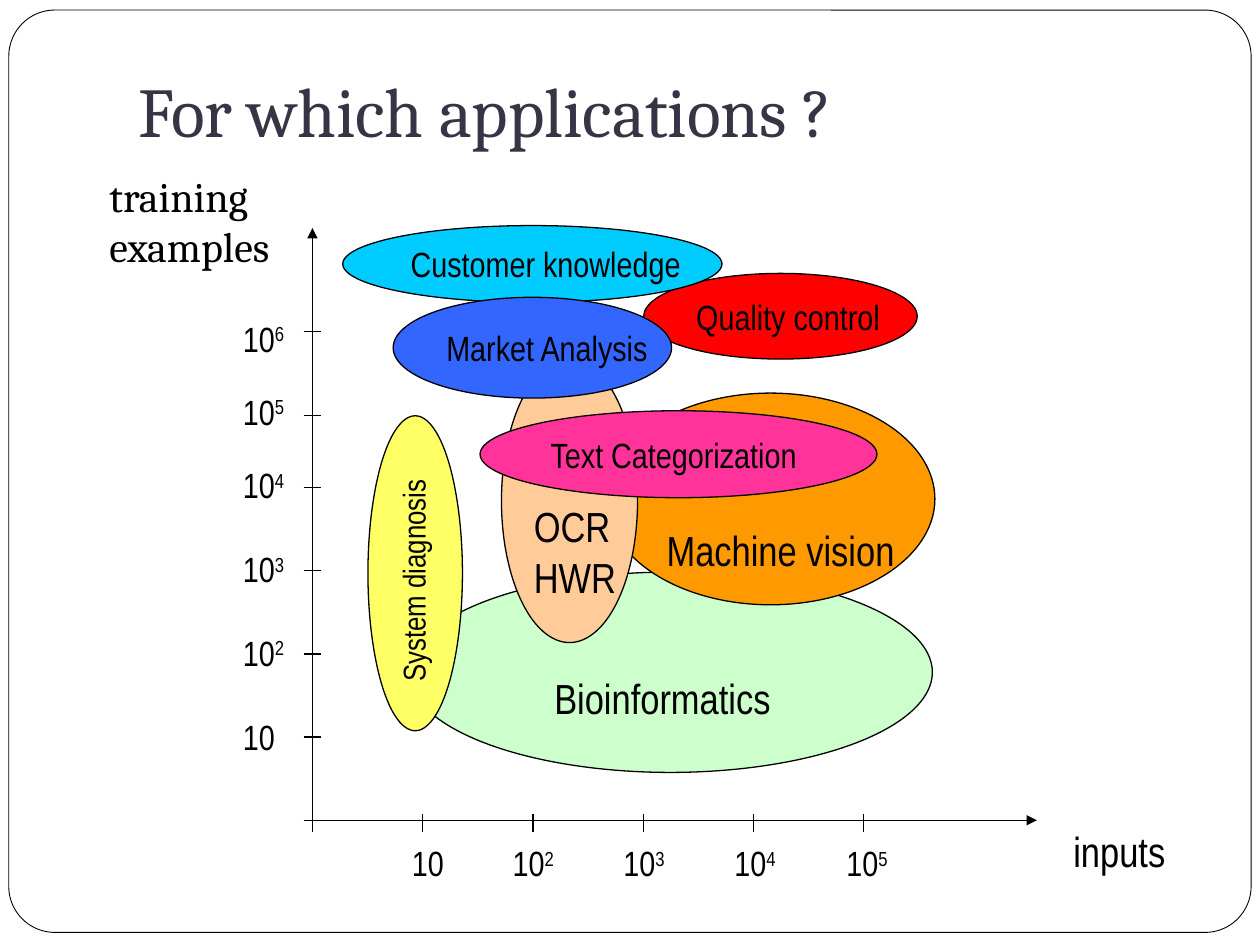
from pptx import Presentation
from pptx.dml.color import RGBColor
from pptx.enum import shapes, text
from pptx.oxml.ns import qn
from pptx.util import Inches, Pt

THEME = {
    "ink": "000000", "title": "373545", "paper": "FFFFFF",
    "green": "CCFFCC", "red": "FF0000", "orange": "FF9900", "cyan": "00CCFF",
    "peach": "FFCC99", "blue": "3366FF", "pink": "FF3399", "yellow": "FFFF66",
    "sans": "Arial Narrow", "serif": "Cambria",
    "heading": 40, "large": 24, "medium": 20, "small": 18,
    "outline": 0.75, "frame": 0.5,
}
LINE_STEP = 0.4

TITLE = ("For which applications ?", (1, 0.33, 8.5, 0.97))
AXIS_NAMES = [
    ("inputs", (8.42, 6.5, 1.25, 0.5), "sans"),
    ("training examples", (0.77, 1.3, 1.73, 0.91), "serif"),
]
# name lines, box, fill, size, lines of downward shift, left indent
APPLICATIONS = [
    (["Bioinformatics"], (3.24, 4.54, 4.16, 1.59), "green", "large", 1, 0.45),
    (["Quality control"], (5.11, 2.17, 2.17, 0.68), "red", "medium", 0, 0),
    (["Machine vision"], (4.81, 3.12, 2.61, 1.68), "orange", "large", 2, 0),
    (["Customer knowledge"], (2.72, 1.79, 3.01, 0.61), "cyan", "medium", 0, 0),
    (["OCR", "HWR"], (3.98, 2.85, 1.08, 2.25), "peach", "large", 2, 0),
    (["Market Analysis"], (3.12, 2.36, 2.21, 0.8), "blue", "medium", 0, 0),
    (["Text Categorization"], (3.81, 3.26, 3.15, 0.69), "pink", "medium", 0, 0),
    ([], (2.92, 3.3, 0.75, 2.5), "yellow", "small", 0, 0),
]
DIAGNOSIS = ("System diagnosis", (2.3, 4.33, 1.96, 0.4))

ORIGIN = (2.48, 6.51)
AXIS_ENDS = [(2.48, 1.81), (8.23, 6.51)]
X_TICKS = [ORIGIN[0] + 0.875 * step for step in range(6)]
Y_TICKS = [ORIGIN[1] - 0.66 * step for step in range(5)] + [3.3, 2.63]
X_LABELS = [3.17, 3.97, 4.85, 5.73, 6.62]
Y_LABELS = [5.63, 4.96, 4.3, 3.63, 3.05, 2.47]


def color(name):
    return RGBColor.from_string(THEME[name])


def add_span(para, words, size, font="sans", ink="ink", raised=False):
    span = para.add_run()
    span.text = words
    for key, value in {"size": Pt(THEME[size]), "name": THEME[font]}.items():
        setattr(span.font, key, value)
    span.font.color.rgb = color(ink)
    if raised:
        span.font._element.set("baseline", "30000")


def add_figure(page, kind, place, fill, width=None):
    figure = page.shapes.add_shape(kind, *map(Inches, place))
    figure.shadow.inherit = False
    figure.fill.solid()
    figure.fill.fore_color.rgb = color(fill)
    if width:
        figure.line.color.rgb = color("ink")
        figure.line.width = Pt(THEME[width])
    else:
        figure.line.fill.background()
    return figure


def format_frame(frame, **changes):
    values = {"word_wrap": True, "vertical_anchor": text.MSO_ANCHOR.TOP} | changes
    for key, value in values.items():
        setattr(frame, key, value)


def add_label(page, place, spans, size, font="sans", ink="ink", **changes):
    frame = page.shapes.add_textbox(*map(Inches, place)).text_frame
    format_frame(frame, **changes)
    for words, raised in spans:
        add_span(frame.paragraphs[0], words, size, font, ink, raised)


def add_line(page, start, end, arrow=False):
    line = page.shapes.add_connector(
        shapes.MSO_CONNECTOR.STRAIGHT, *map(Inches, (*start, *end)))
    line.line.color.rgb = color("ink")
    line.line.width = Pt(THEME["outline"])
    if arrow:
        tail = line.line._get_or_add_ln().makeelement(qn("a:tailEnd"), {"type": "triangle"})
        line.line._get_or_add_ln().append(tail)
    properties = line._element.spPr
    properties.append(properties.makeelement(qn("a:effectLst"), {}))


def add_application(page, names, place, fill, size, shift, indent):
    oval = add_figure(page, shapes.MSO_SHAPE.OVAL, place, fill, "outline")
    frame = oval.text_frame
    format_frame(frame, word_wrap=False, vertical_anchor=text.MSO_ANCHOR.MIDDLE,
                 margin_top=Inches(0.05 + LINE_STEP * shift),
                 margin_left=Inches(0.1 + indent))
    for index, name in enumerate(names):
        para = frame.add_paragraph() if index else frame.paragraphs[0]
        para.alignment = text.PP_ALIGN.LEFT
        add_span(para, name, size)


def add_scale(page, places):
    for power, place in enumerate(places, 1):
        spans = [("10", False)] + ([(str(power), True)] if power > 1 else [])
        add_label(page, place, spans, "medium")


def main():
    deck = Presentation()
    deck.slide_width, deck.slide_height = Inches(10), Inches(7.5)
    page = deck.slides.add_slide(deck.slide_layouts[6])

    border = add_figure(page, shapes.MSO_SHAPE.ROUNDED_RECTANGLE,
                        (0.07, 0.08, 9.86, 7.32), "paper", "frame")
    border.adjustments[0] = 0.05

    words, place = TITLE
    add_label(page, place, [(words, False)], "heading", "serif", "title",
              vertical_anchor=text.MSO_ANCHOR.BOTTOM, margin_bottom=Inches(0.1))
    for words, place, font in AXIS_NAMES:
        add_label(page, place, [(words, False)], "large", font)

    for application in APPLICATIONS:
        add_application(page, *application)
    words, place = DIAGNOSIS
    plate = add_figure(page, shapes.MSO_SHAPE.RECTANGLE, place, "yellow")
    plate.rotation = 270
    format_frame(plate.text_frame)
    plate.text_frame.paragraphs[0].alignment = text.PP_ALIGN.LEFT
    add_span(plate.text_frame.paragraphs[0], words, "small")

    for end in AXIS_ENDS:
        add_line(page, ORIGIN, end, arrow=True)
    for x in X_TICKS:
        add_line(page, (x, 6.46), (x, 6.6))
    for y in Y_TICKS:
        add_line(page, (2.41, y), (2.55, y))
    add_scale(page, [(x, 6.63, 0.7, 0.44) for x in X_LABELS])
    add_scale(page, [(1.83, y, 0.67, 0.44) for y in Y_LABELS])

    deck.save("out.pptx")


if __name__ == "__main__":
    main()
